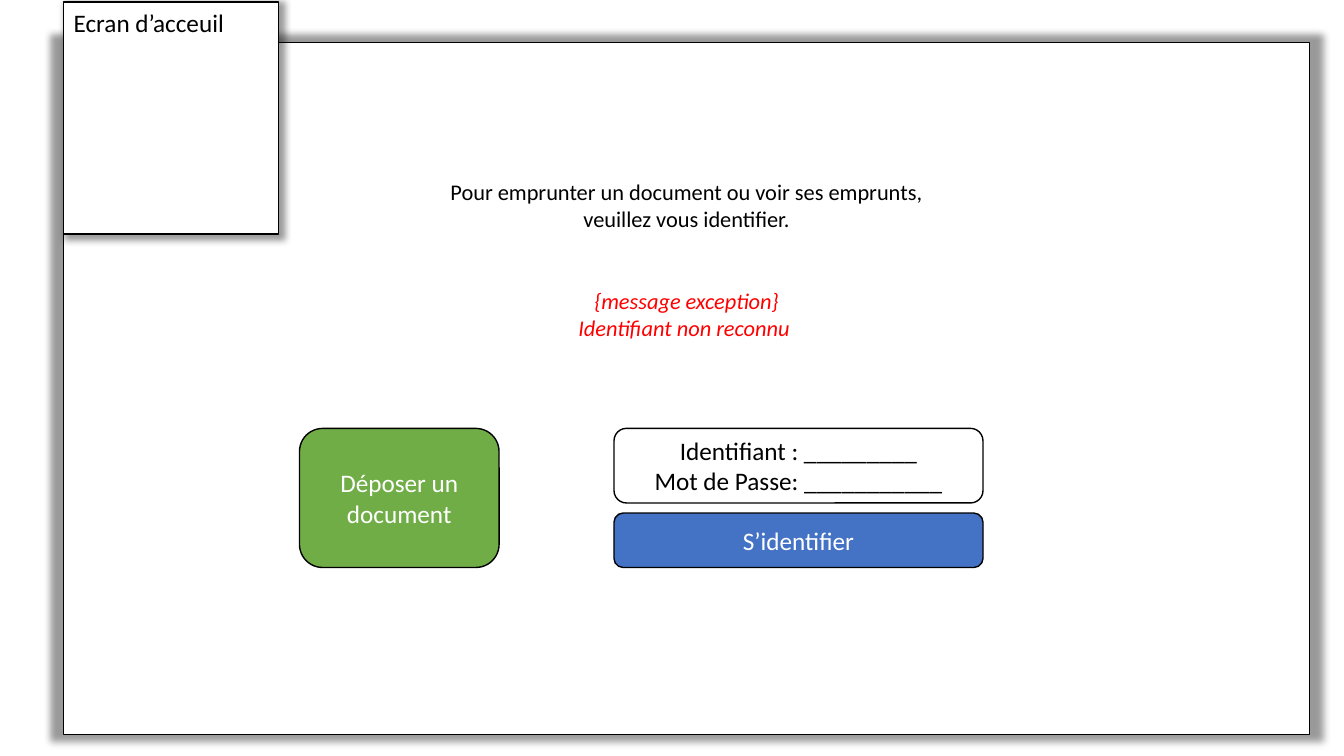
import pptx
import pptx.dml.color
import pptx.enum.shapes
import pptx.enum.text
import pptx.oxml
import pptx.oxml.ns
import pptx.util

Inches = pptx.util.Inches
Pt = pptx.util.Pt
SHAPE = pptx.enum.shapes.MSO_SHAPE
ALIGN = pptx.enum.text.PP_ALIGN
ANCHOR = pptx.enum.text.MSO_ANCHOR
AUTO_SIZE = pptx.enum.text.MSO_AUTO_SIZE

BLACK, WHITE, RED = "000000", "FFFFFF", "FF0000"
GREEN, BLUE = "70AD47", "4472C4"


def rgb(color):
    return pptx.dml.color.RGBColor.from_string(color)


class Screen:
    """Holds the wireframe style and the slide being drawn."""

    font = "Calibri"
    line_width = 1

    def __init__(self, prs):
        self.s = prs.slides.add_slide(prs.slide_layouts[5])

    def paint(self, sp, fill, shadow=False):
        """Fill and outline a shape; without a fill it has no outline either."""
        if fill:
            sp.fill.solid()
            sp.fill.fore_color.rgb = rgb(fill)
            sp.line.color.rgb = rgb(BLACK)
            sp.line.width = Pt(self.line_width)
        else:
            sp.fill.background()
            sp.line.fill.background()
        sp.shadow.inherit = False
        if shadow:
            effects = sp._element.spPr.find(pptx.oxml.ns.qn("a:effectLst"))
            effects.append(pptx.oxml.parse_xml(
                f'<a:outerShdw {pptx.oxml.ns.nsdecls("a")} blurRad="{Pt(5)}" '
                'sx="102000" sy="102000" algn="ctr" rotWithShape="0">'
                f'<a:srgbClr val="{BLACK}"><a:alpha val="40000"/></a:srgbClr>'
                '</a:outerShdw>'))

    def set_text(self, sp, text, size, color, align=ALIGN.CENTER,
                 anchor=ANCHOR.MIDDLE, italic=False):
        tf = sp.text_frame
        tf.text = text
        tf.word_wrap = True
        tf.vertical_anchor = anchor
        for p in tf.paragraphs:
            p.alignment = align
            for r in p.runs:
                r.font.name = self.font
                r.font.size = Pt(size)
                r.font.italic = italic
                r.font.color.rgb = rgb(color)

    def frame(self, x, y, w, h):
        sp = self.s.shapes.add_shape(
            SHAPE.RECTANGLE, Inches(x), Inches(y), Inches(w), Inches(h))
        self.paint(sp, WHITE, shadow=True)

    def tab_title(self, x, y, w, h, text):
        """Turn the title into a tab that lies above what is drawn so far."""
        sp = self.s.shapes.title
        sp.left, sp.top, sp.width, sp.height = map(Inches, (x, y, w, h))
        self.paint(sp, WHITE, shadow=True)
        self.set_text(sp, text, 18, BLACK, ALIGN.LEFT, ANCHOR.TOP)
        sp.text_frame.auto_size = AUTO_SIZE.SHAPE_TO_FIT_TEXT
        self.s.shapes._spTree.append(sp._element)

    def rounded(self, x, y, w, h, text, fill=None, color=BLACK, size=18):
        sp = self.s.shapes.add_shape(
            SHAPE.ROUNDED_RECTANGLE, Inches(x), Inches(y), Inches(w), Inches(h))
        self.paint(sp, fill)
        self.set_text(sp, text, size, color)

    def message(self, x, y, w, h, text):
        sp = self.s.shapes.add_textbox(
            Inches(x), Inches(y), Inches(w), Inches(h))
        self.set_text(sp, text, 16, RED, anchor=ANCHOR.TOP, italic=True)
        sp.text_frame.auto_size = AUTO_SIZE.SHAPE_TO_FIT_TEXT


def main():
    prs = pptx.Presentation()
    prs.slide_width = Inches(13.33)
    prs.slide_height = Inches(7.5)

    screen = Screen(prs)
    screen.frame(0.63, 0.42, 12.36, 6.87)
    screen.tab_title(0.63, 0.02, 2.13, 0.4, "Ecran d’acceuil")
    screen.rounded(2.97, 4.25, 1.98, 1.38, "Déposer un document", GREEN, WHITE)
    screen.rounded(6.09, 5.09, 3.66, 0.54, "S’identifier", BLUE, WHITE)
    screen.rounded(3.96, 1.49, 5.7, 1.09,
                   "Pour emprunter un document ou voir ses emprunts, "
                   "veuillez vous identifier.", size=16)
    screen.rounded(6.09, 4.25, 3.66, 0.74,
                   "Identifiant : _________\nMot de Passe: ___________", WHITE)
    screen.message(3.96, 2.8, 5.7, 0.64,
                   "{message exception}\nIdentifiant non reconnu ")

    prs.save("out.pptx")


if __name__ == "__main__":
    main()
